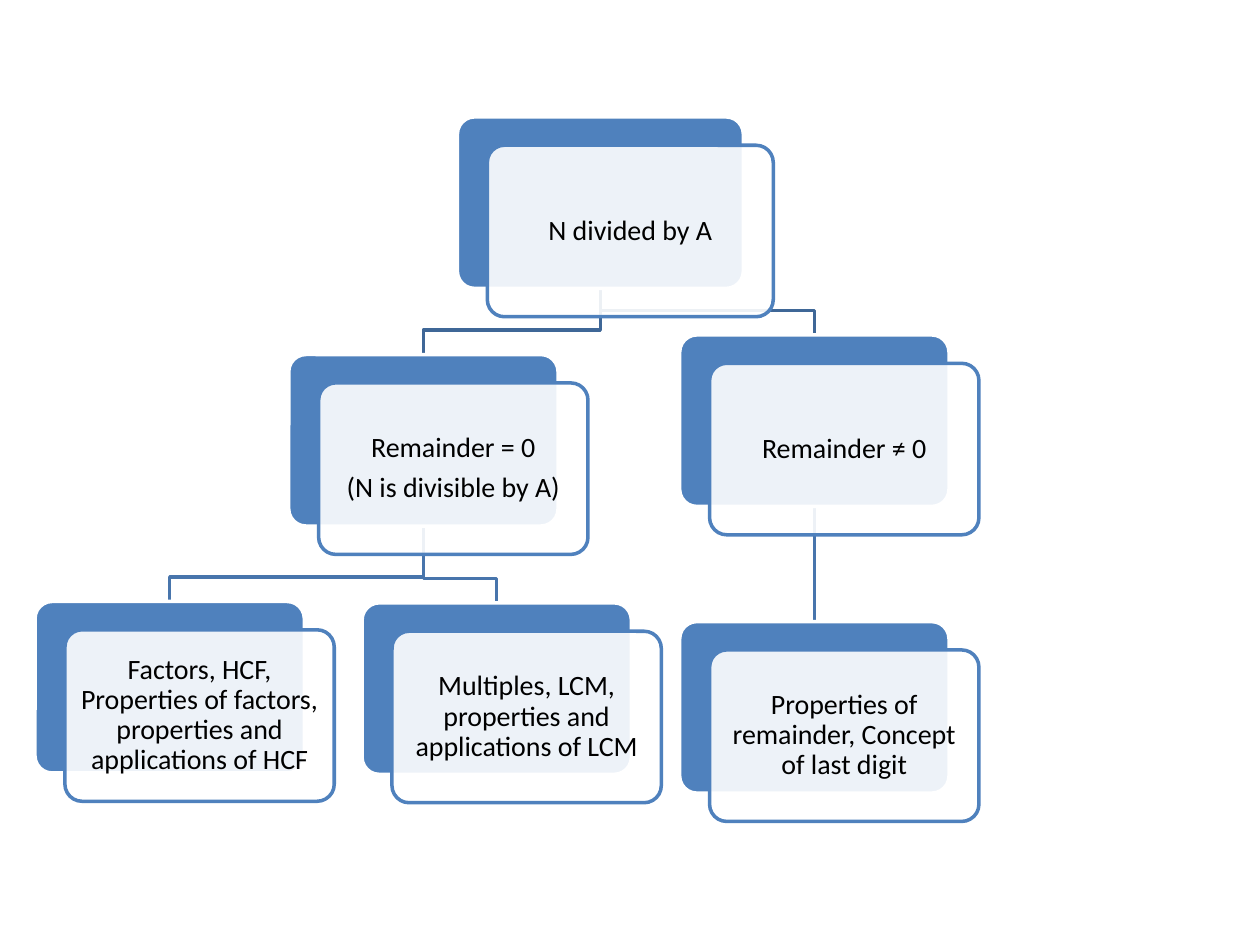
from dataclasses import dataclass

from lxml.etree import SubElement
from pptx import Presentation
from pptx.dml.color import RGBColor
from pptx.enum.shapes import MSO_CONNECTOR, MSO_SHAPE
from pptx.enum.text import MSO_ANCHOR, PP_ALIGN
from pptx.oxml.ns import qn
from pptx.shapes.autoshape import Shape
from pptx.shapes.base import BaseShape
from pptx.slide import Slide
from pptx.util import Pt

BLUE = RGBColor(0x4F, 0x81, 0xBD)
UPPER_LINK = RGBColor(0x3F, 0x67, 0x97)
LOWER_LINK = RGBColor(0x48, 0x75, 0xAC)
WHITE = RGBColor(0xFF, 0xFF, 0xFF)
BLACK = RGBColor(0x00, 0x00, 0x00)

FONT = "Calibri"
CARD_HEIGHT = 98
ROOT_WIDTH = 163.4
CHILD_WIDTH = 153.9
FRONT_SHIFT_X = 17.1
FRONT_SHIFT_Y = 16.2
BEND_ABOVE_CHILD = 14
LINE_WIDTH = Pt(2)
TEXT_INSET = Pt(5)


@dataclass(frozen=True)
class Card:
    text: str
    left: float
    top: float
    width: float = CHILD_WIDTH

    @property
    def center(self) -> float:
        return self.left + self.width / 2

    @property
    def bottom(self) -> float:
        return self.top + CARD_HEIGHT


DIVISION = Card("N divided by A", 261.4, 66.8, ROOT_WIDTH)
DIVISIBLE = Card("Remainder = 0\n(N is divisible by A)", 165, 202.6)
NOT_DIVISIBLE = Card("Remainder ≠ 0", 388.4, 191.4)
FACTORS = Card(
    "Factors, HCF, Properties of factors, properties and applications of HCF",
    20, 343.7,
)
MULTIPLES = Card("Multiples, LCM, properties and applications of LCM", 206.9, 344.5)
REMAINDERS = Card("Properties of remainder, Concept of last digit", 388.4, 355.2)

CARDS = [DIVISION, DIVISIBLE, FACTORS, MULTIPLES, NOT_DIVISIBLE, REMAINDERS]
ELBOWS = [
    (DIVISION, DIVISIBLE, UPPER_LINK),
    (DIVISIBLE, FACTORS, LOWER_LINK),
    (DIVISIBLE, MULTIPLES, LOWER_LINK),
    (DIVISION, NOT_DIVISIBLE, UPPER_LINK),
]


def add_panel(slide: Slide, card: Card, shift_x: float, shift_y: float,
              fill: RGBColor, line: RGBColor) -> Shape:
    shape = slide.shapes.add_shape(
        MSO_SHAPE.ROUNDED_RECTANGLE, Pt(card.left + shift_x),
        Pt(card.top + shift_y), Pt(card.width), Pt(CARD_HEIGHT),
    )
    shape.adjustments[0] = 0.1
    shape.shadow.inherit = False
    shape.fill.solid()
    shape.fill.fore_color.rgb = fill
    shape.line.color.rgb = line
    shape.line.width = LINE_WIDTH
    return shape


def set_opacity(shape: Shape, percent: int) -> None:
    color = shape._element.spPr.find(qn("a:solidFill"))[0]
    SubElement(color, qn("a:alpha")).set("val", str(percent * 1000))


def write_text(shape: Shape, text: str) -> None:
    text_frame = shape.text_frame
    text_frame.text = text
    text_frame.word_wrap = True
    text_frame.vertical_anchor = MSO_ANCHOR.MIDDLE
    text_frame.margin_left = text_frame.margin_right = TEXT_INSET
    text_frame.margin_top = text_frame.margin_bottom = TEXT_INSET
    for paragraph in text_frame.paragraphs:
        paragraph.alignment = PP_ALIGN.CENTER
        paragraph.line_spacing = 0.9
        paragraph.space_after = Pt(5.6)
        for run in paragraph.runs:
            run.font.name = FONT
            run.font.size = Pt(16)
            run.font.color.rgb = BLACK


def add_card(slide: Slide, card: Card) -> Shape:
    back = add_panel(slide, card, 0, 0, BLUE, WHITE)
    front = add_panel(slide, card, FRONT_SHIFT_X, FRONT_SHIFT_Y, WHITE, BLUE)
    set_opacity(front, 90)
    write_text(front, card.text)
    return back


def send_to_back(slide: Slide, shape: BaseShape) -> None:
    slide.shapes._spTree.insert(2, shape._element)


def add_elbow(slide: Slide, parent: Card, child: Card, color: RGBColor) -> None:
    bend = child.top - BEND_ABOVE_CHILD
    builder = slide.shapes.build_freeform(Pt(parent.center), Pt(parent.bottom))
    builder.add_line_segments(
        [
            (Pt(parent.center), Pt(bend)),
            (Pt(child.center), Pt(bend)),
            (Pt(child.center), Pt(child.top)),
        ],
        close=False,
    )
    shape = builder.convert_to_shape()
    shape.shadow.inherit = False
    shape.fill.background()
    shape.line.color.rgb = color
    shape.line.width = LINE_WIDTH
    send_to_back(slide, shape)


def add_straight_link(slide: Slide, parent: Shape, child: Shape,
                      color: RGBColor) -> None:
    connector = slide.shapes.add_connector(MSO_CONNECTOR.STRAIGHT, 0, 0, 0, 0)
    connector.begin_connect(parent, 2)
    connector.end_connect(child, 0)
    connector.line.color.rgb = color
    connector.line.width = LINE_WIDTH
    SubElement(connector._element.spPr, qn("a:effectLst"))
    send_to_back(slide, connector)


def main() -> None:
    presentation = Presentation()
    presentation.slide_width = Pt(720)
    presentation.slide_height = Pt(540)
    slide = presentation.slides.add_slide(presentation.slide_layouts[6])
    panels = {card: add_card(slide, card) for card in CARDS}
    for parent, child, color in ELBOWS:
        add_elbow(slide, parent, child, color)
    add_straight_link(slide, panels[NOT_DIVISIBLE], panels[REMAINDERS], LOWER_LINK)
    presentation.save("out.pptx")


if __name__ == "__main__":
    main()
